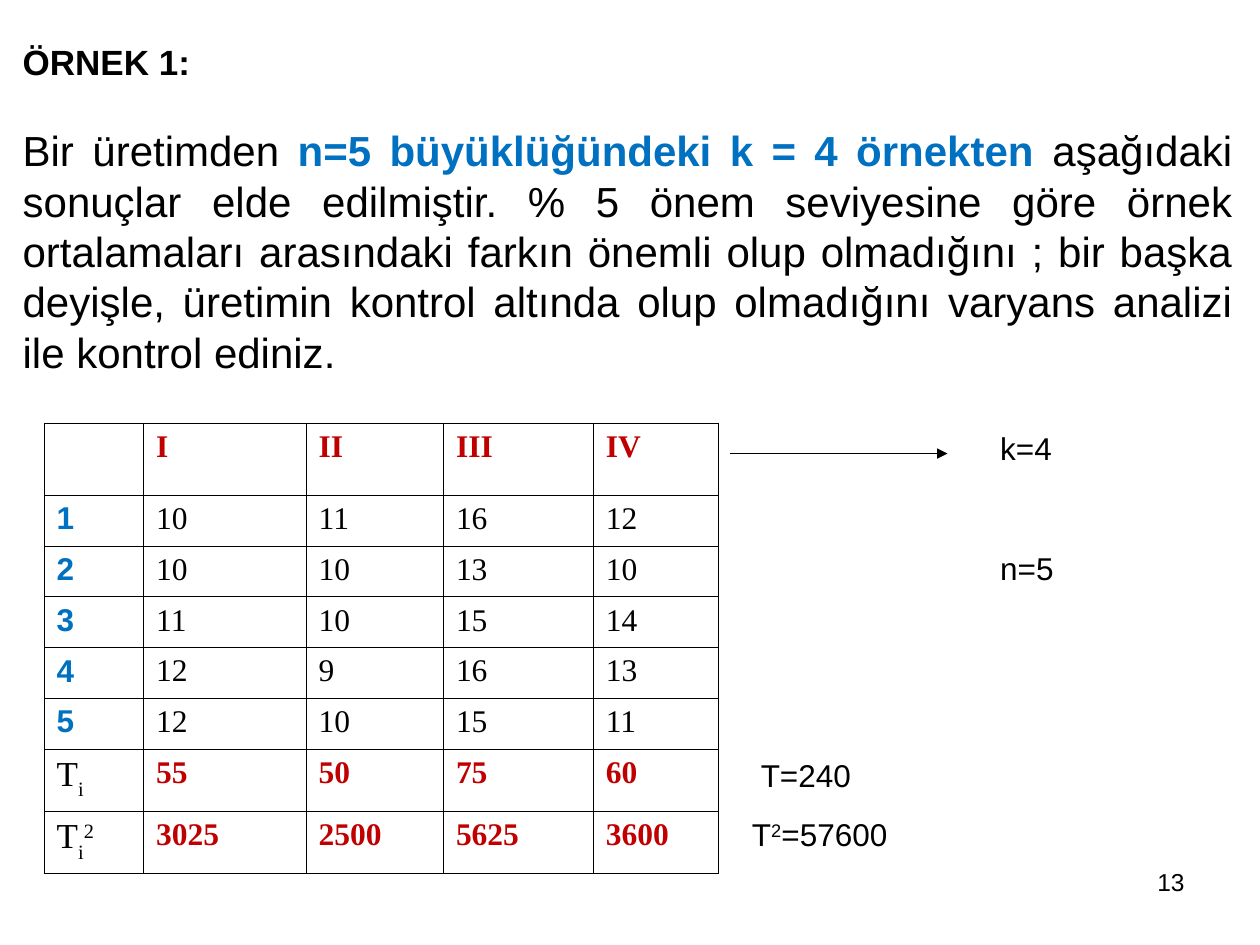
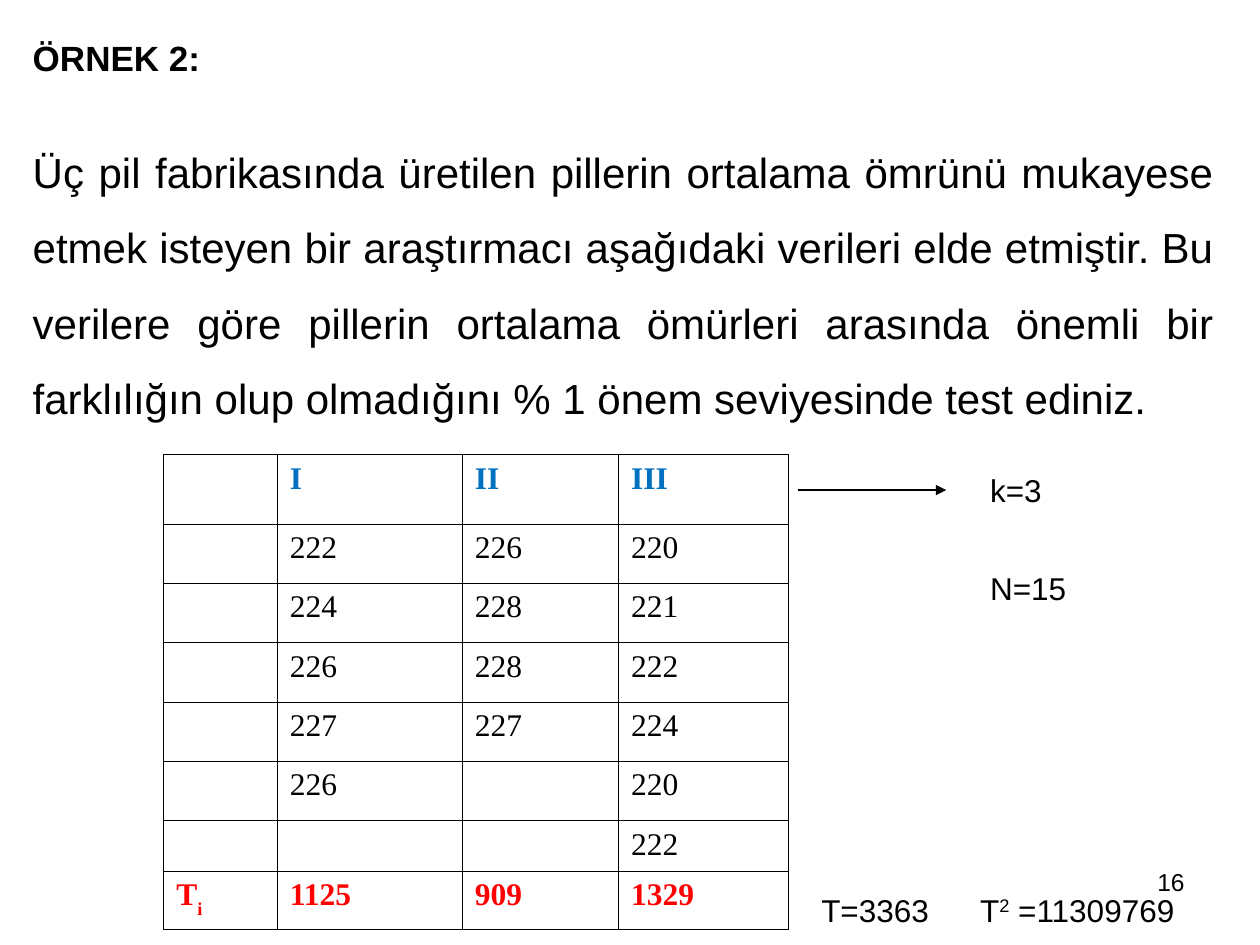
from lxml import etree
from pptx import Presentation
from pptx import util as u
from pptx.dml.color import RGBColor
from pptx.enum import shapes, text
from pptx.oxml import ns

BLACK, BLUE, CRIMSON, RED = "000000", "0070C0", "C00000", "FF0000"
SANS, SERIF = "Arial", "Times New Roman"
GRID = u.Inches(0.1)
SUB, SUP = {"baseline": -30}, {"baseline": 30}
T_SUM = ["T", ("i", SUB)]
T_SQUARE = T_SUM + [("2", SUP)]


def grid(*cells):
    """Turn counts of grid cells into lengths."""
    return [u.Emu(round(count * GRID)) for count in cells]


def color(hex_text):
    """Turn a hex string into a colour."""
    return RGBColor.from_string(hex_text)


def style(font, size=18, face=SANS, ink=BLACK, bold=False):
    """Format a font."""
    font.size, font.name, font.bold = u.Pt(size), face, bold
    font.color.rgb = color(ink)


def write(frame, spans, align="LEFT", spacing=1.0, **look):
    """Fill a text frame with one paragraph of plain or specially formatted spans."""
    para = frame.paragraphs[0]
    para.alignment = getattr(text.PP_ALIGN, align)
    para.line_spacing, para.space_before = spacing, u.Pt(0)
    style(para.font, **look)
    for item in [spans] if isinstance(spans, str) else spans:
        words, extra = (item, {}) if isinstance(item, str) else item
        extra = dict(extra)
        baseline = extra.pop("baseline", 0)
        span = para.add_run()
        span.text = words
        style(span.font, **{**look, **extra})
        if baseline:
            span._r.get_or_add_rPr().set("baseline", str(baseline * 1000))
    return para


def fill_placeholder(holder, area, spans, **look):
    """Move a placeholder and write unbulleted text from its top."""
    holder.left, holder.top, holder.width, holder.height = grid(*area)
    frame = holder.text_frame
    frame.auto_size = text.MSO_AUTO_SIZE.NONE
    frame.vertical_anchor = text.MSO_ANCHOR.TOP
    properties = frame.paragraphs[0]._p.get_or_add_pPr()
    properties.set("marL", "0")
    properties.set("indent", "0")
    etree.SubElement(properties, ns.qn("a:buNone"))
    write(frame, spans, **look)


def add_label(page, spans, left, top, width=18, height=4, **look):
    """Add a text box."""
    box = page.shapes.add_textbox(*grid(left, top, width, height))
    box.text_frame.word_wrap = True
    write(box.text_frame, spans, **look)


def add_arrow(page, left, right, row):
    """Add a horizontal arrow pointing right."""
    arrow = page.shapes.add_connector(
        shapes.MSO_CONNECTOR.STRAIGHT, *grid(left, row, right, row))
    arrow.line.color.rgb, arrow.line.width = color(BLACK), u.Pt(0.75)
    etree.SubElement(arrow.line._get_or_add_ln(), ns.qn("a:tailEnd"), type="triangle")
    etree.SubElement(arrow._element.spPr, ns.qn("a:effectLst"))


def outline(cell):
    """Give a cell thin black borders and no fill."""
    properties = cell._tc.get_or_add_tcPr()
    for side in ("lnL", "lnR", "lnT", "lnB"):
        line = etree.SubElement(properties, ns.qn(f"a:{side}"), w=str(u.Pt(0.45)))
        fill = etree.SubElement(line, ns.qn("a:solidFill"))
        etree.SubElement(fill, ns.qn("a:srgbClr"), val=BLACK)
    cell.fill.background()


def add_data_table(page, left, top, widths, heights, rows, look_of):
    """Add a table whose cell formats come from look_of(row, column)."""
    table = page.shapes.add_table(
        len(rows), len(widths), *grid(left, top, sum(widths), sum(heights))).table
    table.first_row = table.horz_banding = False
    for column, width in zip(table.columns, grid(*widths)):
        column.width = width
    for row, height in zip(table.rows, grid(*heights)):
        row.height = height
    for row, values in enumerate(rows):
        for column, value in enumerate(values):
            cell = table.cell(row, column)
            outline(cell)
            write(cell.text_frame, value, **{"face": SERIF, **look_of(row, column)})


def sample_look(row, column):
    """Format the cells of the production samples."""
    if column == 0:
        return {"size": 20} if row > 5 else {"face": SANS, "ink": BLUE, "bold": True}
    return {"ink": CRIMSON, "bold": True} if row in (0, 6, 7) else {}


def battery_look(row, column):
    """Format the cells of the battery lifetimes."""
    return {0: {"ink": BLUE, "bold": True}, 7: {"ink": RED, "bold": True}}.get(row, {})


def add_example(deck, title, title_at, body, body_area, number, spacing=1.0):
    """Add a page with its title, question and page number."""
    page = deck.slides.add_slide(deck.slide_layouts[1])
    heading, question = page.placeholders
    fill_placeholder(heading, (*title_at, 96, 4.2), title, size=20, bold=True)
    fill_placeholder(question, body_area, body, size=24, align="JUSTIFY", spacing=spacing)
    add_label(page, number, 71.7, 68.3, 23.3, 5.2, size=14, align="RIGHT")
    return page


def add_samples(deck):
    """Build the example with four samples of five."""
    body = ["Bir üretimden ",
            ("n=5 büyüklüğündeki k = 4 örnekten ", {"ink": BLUE, "bold": True}),
            "aşağıdaki sonuçlar elde edilmiştir. % 5 önem seviyesine göre örnek "
            "ortalamaları arasındaki farkın önemli olup olmadığını ; bir başka deyişle, "
            "üretimin kontrol altında olup olmadığını varyans analizi ile kontrol ediniz."]
    page = add_example(deck, "ÖRNEK 1:", (0.8, 2.7), body, (0.8, 9.4, 98, 21), "13")
    rows = [["", "I", "II", "III", "IV"],
            ["1", "10", "11", "16", "12"],
            ["2", "10", "10", "13", "10"],
            ["3", "11", "10", "15", "14"],
            ["4", "12", "9", "16", "13"],
            ["5", "12", "10", "15", "11"],
            [T_SUM, "55", "50", "75", "60"],
            [T_SQUARE, "3025", "2500", "5625", "3600"]]
    add_data_table(page, 3.5, 33.6, [7.9, 12.9, 10.9, 11.9, 9.9],
                   [5.7] + [4.03] * 5 + [4.95] * 2, rows, sample_look)
    add_arrow(page, 57.9, 75.2, 36)
    add_label(page, "k=4", 78.4, 33.6)
    add_label(page, "n=5", 78.4, 43.1)
    add_label(page, "T=240", 59.4, 59.5)
    add_label(page, ["T", ("2", SUP), "=57600"], 58.7, 64.2)


def add_batteries(deck):
    """Build the example with three battery factories."""
    body = ("Üç pil fabrikasında üretilen pillerin ortalama ömrünü mukayese etmek isteyen "
            "bir araştırmacı aşağıdaki verileri elde etmiştir. Bu verilere göre pillerin "
            "ortalama ömürleri arasında önemli bir farklılığın olup olmadığını % 1 önem "
            "seviyesinde test ediniz.")
    page = add_example(deck, "ÖRNEK 2:", (1.6, 2.4), body, (1.6, 9.1, 95.7, 25), "16", 1.5)
    rows = [["", "I", "II", "III"],
            ["", "222", "226", "220"],
            ["", "224", "228", "221"],
            ["", "226", "228", "222"],
            ["", "227", "227", "224"],
            ["", "226", "", "220"],
            ["", "", "", "222"],
            [T_SUM, "1125", "909", "1329"]]
    add_data_table(page, 13, 36.1, [9, 14.7, 12.4, 13.5],
                   [5.5] + [4.71] * 5 + [4, 4.6], rows, battery_look)
    add_arrow(page, 63.3, 75.1, 38.9)
    add_label(page, "k=3", 77.6, 36.9)
    add_label(page, "N=15", 77.6, 44.7)
    add_label(page, "T=3363", 64.2, 70.2, 12)
    add_label(page, ["T", ("2", SUP), " =11309769"], 76.8, 70.2)


def main():
    """Build and save the deck."""
    deck = Presentation()
    deck.slide_width, deck.slide_height = grid(100, 75)
    add_samples(deck)
    add_batteries(deck)
    deck.save("out.pptx")


if __name__ == "__main__":
    main()
